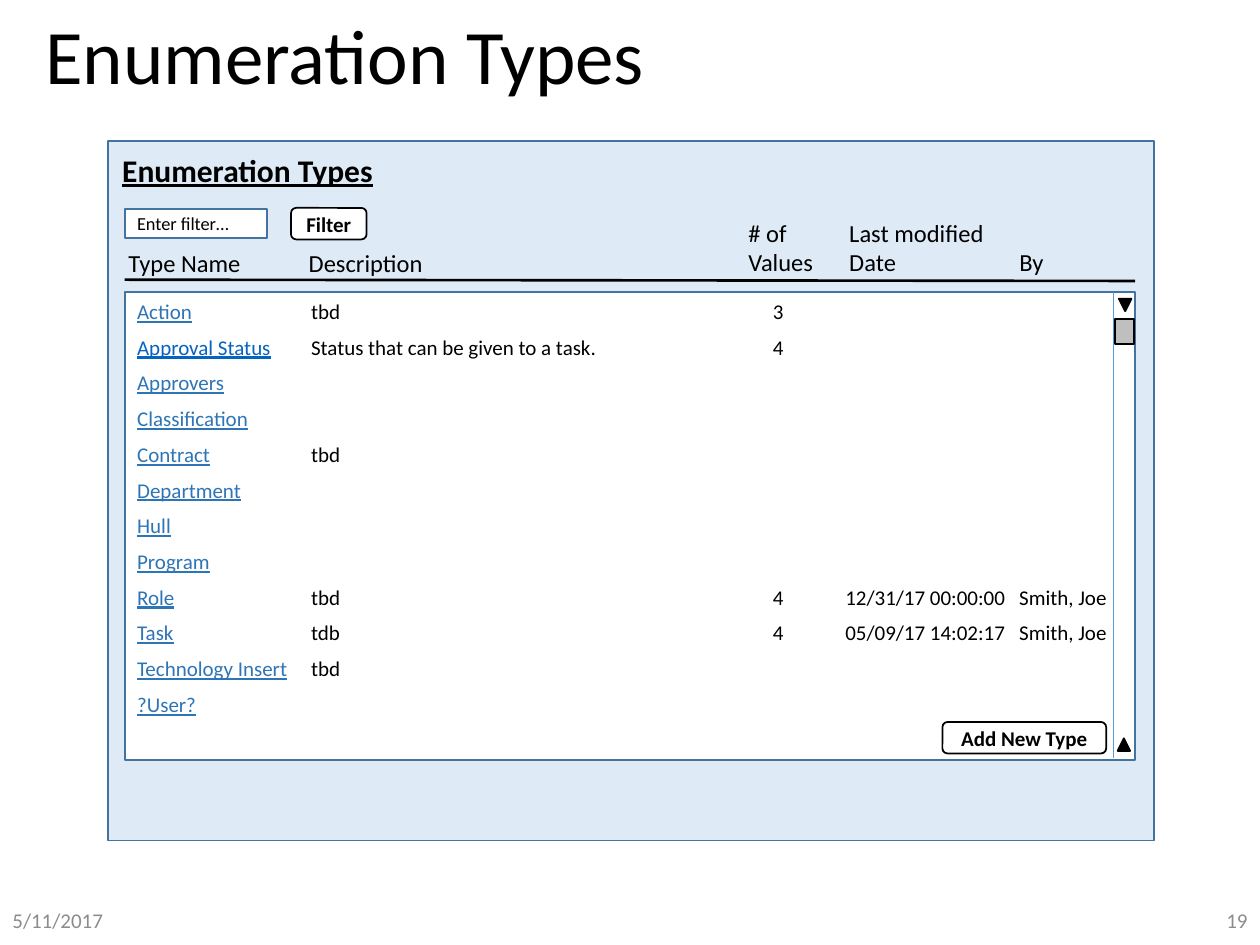
from lxml.etree import SubElement
from pptx import Presentation
from pptx.dml.color import RGBColor
from pptx.enum.shapes import MSO_CONNECTOR, MSO_SHAPE as Shape
from pptx.enum.text import MSO_ANCHOR as Anchor, MSO_AUTO_SIZE as AutoSize, PP_ALIGN as Align
from pptx.oxml.ns import qn
from pptx.util import Emu, Inches, Pt

PX = 9144  # 100 px to the inch

BLACK = RGBColor(0, 0, 0)
WHITE = RGBColor(255, 255, 255)
PANEL_BLUE = RGBColor(0xDE, 0xEB, 0xF7)
BORDER_BLUE = RGBColor(0x43, 0x73, 0x9E)
SCROLL_BLUE = RGBColor(0x5B, 0x9B, 0xD5)
LINK_BLUE = RGBColor(0x2E, 0x75, 0xB6)
ACTIVE_LINK = RGBColor(0x05, 0x63, 0xC1)
THUMB_GRAY = RGBColor(0xBF, 0xBF, 0xBF)
FOOTER_GRAY = RGBColor(0x8C, 0x8C, 0x8C)

ROW_TABS = [(1.38, "l"), (5.13, "dec"), (5.62, "l"), (6.62, "l")]
HEADER_TABS = [(1.35, "l")]

# type name, then description, number of values, modified date, modified by
ENUM_TYPES = [
    ("Action", "tbd", "3"),
    ("Approval Status", "Status that can be given to a task.", "4"),
    ("Approvers",),
    ("Classification",),
    ("Contract", "tbd"),
    ("Department",),
    ("Hull",),
    ("Program",),
    ("Role", "tbd", "4", "12/31/17 00:00:00", "Smith, Joe"),
    ("Task", "tdb", "4", "05/09/17 14:02:17", "Smith, Joe"),
    ("Technology Insert", "tbd"),
    ("?User?",),
]

COLUMN_HEADERS = [
    ((97, 192, 100, 34), ["Type Name"]),
    ((240, 192, 102, 34), ["Description"]),
    ((589, 168, 62, 57), ["# of", "Values"]),
    ((669, 168, 166, 57), ["Last modified", "Date\tBy"]),
]


def emu(*lengths):
    return [Emu(length * PX) for length in lengths]


def apply_format(target, values):
    for name, value in values.items():
        setattr(target, name, value)


def write(paragraph, words, size, color=BLACK, **extra):
    run = paragraph.add_run()
    run.text = words
    apply_format(run.font, {"name": "Calibri", "size": Pt(size), **extra})
    run.font.color.rgb = color


def set_tabs(paragraph, stops):
    tab_list = SubElement(paragraph._p.get_or_add_pPr(), qn("a:tabLst"))
    for position, alignment in stops:
        SubElement(tab_list, qn("a:tab"), pos=str(Inches(position)), algn=alignment)


def next_paragraph(frame, index):
    return frame.paragraphs[0] if index == 0 else frame.add_paragraph()


def add_box(slide, kind, box, fill, border, rotation=0):
    shape = slide.shapes.add_shape(kind, *emu(*box))
    shape.shadow.inherit = False
    shape.rotation = rotation
    shape.fill.solid()
    shape.fill.fore_color.rgb = fill
    shape.line.color.rgb = border
    shape.line.width = Pt(1)
    return shape


def add_line(slide, start, end, color, weight):
    line = slide.shapes.add_connector(MSO_CONNECTOR.STRAIGHT, *emu(*start, *end))
    line.line.color.rgb = color
    line.line.width = Pt(weight)
    SubElement(line._element.spPr, qn("a:effectLst"))


def add_label(slide, box, lines, size, tabs=(), **font):
    """Unwrapped text with an even, narrow margin."""
    frame = slide.shapes.add_textbox(*emu(*box)).text_frame
    margins = {f"margin_{side}": Emu(5 * PX) for side in ("left", "top", "right", "bottom")}
    apply_format(frame, {"word_wrap": False, **margins})
    for index, words in enumerate(lines):
        paragraph = next_paragraph(frame, index)
        if "\t" in words:
            set_tabs(paragraph, tabs)
        write(paragraph, words, size, **font)


def add_footer(slide, left, words, alignment):
    frame = slide.shapes.add_textbox(*emu(left, 710, 225, 40)).text_frame
    apply_format(frame, {"word_wrap": True, "vertical_anchor": Anchor.MIDDLE})
    frame.paragraphs[0].alignment = alignment
    write(frame.paragraphs[0], words, 12, FOOTER_GRAY)


def add_button(slide, box, caption):
    button = add_box(slide, Shape.ROUNDED_RECTANGLE, box, WHITE, BLACK)
    button.text_frame.word_wrap = False
    paragraph = button.text_frame.paragraphs[0]
    paragraph.alignment = Align.CENTER
    write(paragraph, caption, 12, bold=True)


def add_title(slide):
    title = slide.shapes.title
    left, top, width, height = emu(26, 9, 950, 76)
    apply_format(title, {"left": left, "top": top, "width": width, "height": height})
    apply_format(title.text_frame, {"vertical_anchor": Anchor.MIDDLE, "auto_size": AutoSize.NONE})
    paragraph = title.text_frame.paragraphs[0]
    apply_format(paragraph, {"alignment": Align.LEFT, "line_spacing": 0.9})
    write(paragraph, "Enumeration Types", 44)


def add_filter(slide):
    field = add_box(slide, Shape.RECTANGLE, (99, 166, 113, 23), WHITE, BORDER_BLUE)
    paragraph = field.text_frame.paragraphs[0]
    paragraph.alignment = Align.LEFT
    write(paragraph, "Enter filter…", 10.5)
    add_button(slide, (231, 165, 60, 25), "Filter")


def add_type_list(slide):
    panel = add_box(slide, Shape.RECTANGLE, (99, 232, 802, 371), WHITE, BORDER_BLUE)
    frame = panel.text_frame
    frame.vertical_anchor = Anchor.TOP
    for index, (type_name, *details) in enumerate(ENUM_TYPES):
        paragraph = next_paragraph(frame, index)
        apply_format(paragraph, {"alignment": Align.LEFT, "space_after": Pt(6)})
        set_tabs(paragraph, ROW_TABS)
        link = ACTIVE_LINK if type_name == "Approval Status" else LINK_BLUE
        write(paragraph, type_name, 12, link, underline=True)
        if details:
            write(paragraph, "\t" + "\t".join(details), 12, underline=False)


def add_scrollbar(slide):
    triangle = Shape.ISOSCELES_TRIANGLE
    add_box(slide, triangle, (887, 586, 10, 10), BLACK, BLACK)
    add_box(slide, triangle, (888, 237, 10, 10), BLACK, BLACK, rotation=180)
    add_box(slide, Shape.FLOWCHART_PROCESS, (885, 253, 15, 20), THUMB_GRAY, BLACK)
    add_line(slide, (884, 232), (884, 602), SCROLL_BLUE, 0.5)


def main():
    deck = Presentation()
    deck.slide_width, deck.slide_height = emu(1000, 750)
    slide = deck.slides.add_slide(deck.slide_layouts[5])

    add_title(slide)
    add_footer(slide, 0, "5/11/2017", Align.LEFT)
    add_footer(slide, 775, "19", Align.RIGHT)

    add_box(slide, Shape.RECTANGLE, (86, 112, 830, 555), PANEL_BLUE, BORDER_BLUE)
    for box, lines in COLUMN_HEADERS:
        add_label(slide, box, lines, 14, HEADER_TABS)
    add_line(slide, (99, 222), (901, 223), BLACK, 1.5)
    add_label(slide, (92, 115, 210, 40), ["Enumeration Types"], 18, bold=True, underline=True)

    add_filter(slide)
    add_type_list(slide)
    add_scrollbar(slide)
    add_button(slide, (748, 573, 130, 25), "Add New Type")
    deck.save("out.pptx")


if __name__ == "__main__":
    main()
